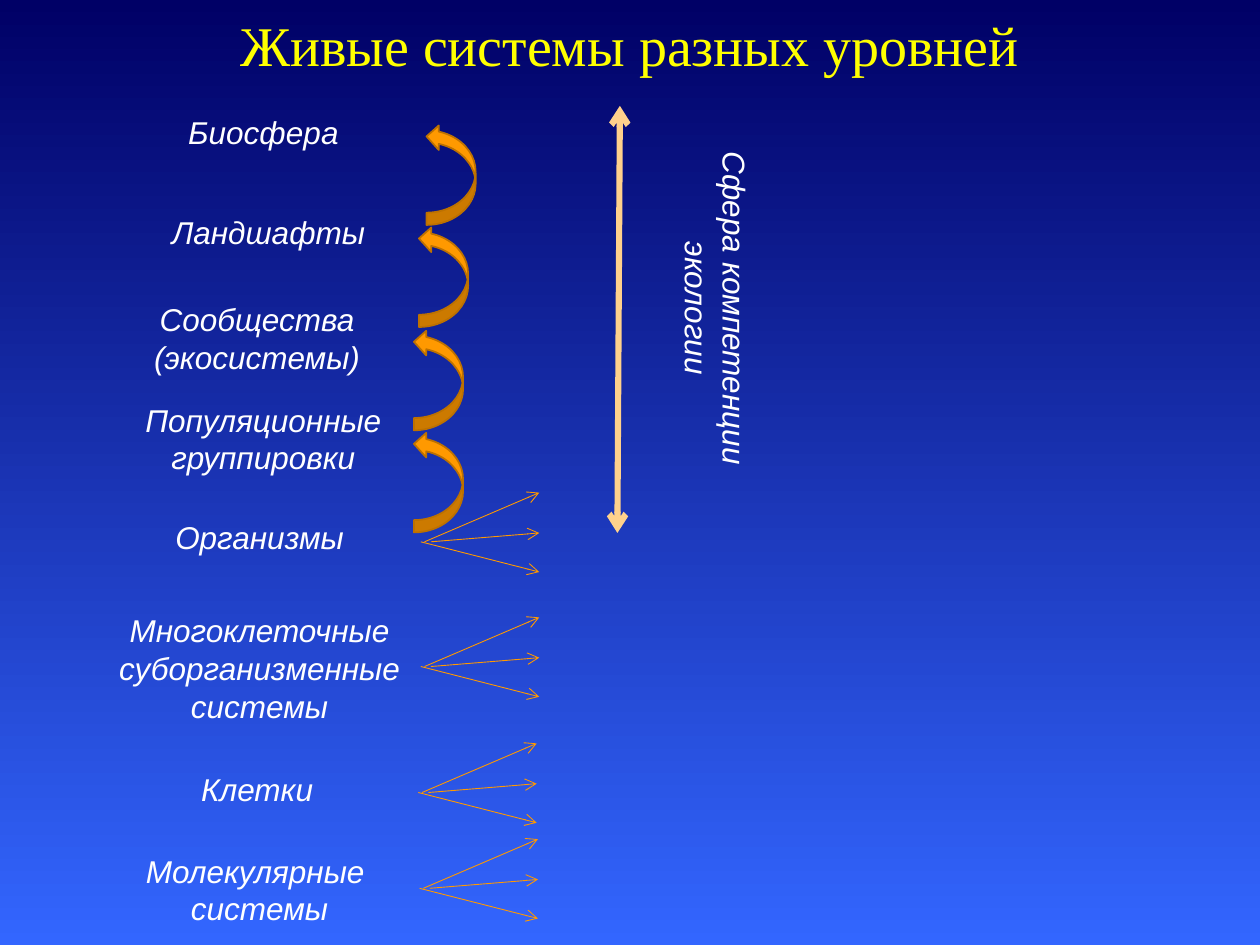
from dataclasses import dataclass

from pptx import Presentation
from pptx.dml.color import RGBColor
from pptx.enum import shapes as kinds, text as txt
from pptx.oxml.ns import qn
from pptx.util import Inches, Pt
from lxml import etree


@dataclass(frozen=True)
class Theme:
    background_top: str = "000066"
    background_bottom: str = "3366FF"
    title: str = "FFFF00"
    label: str = "FFFFFF"
    accent: str = "FF9900"
    accent_edge: str = "BD7100"
    scope: str = "FFD18C"
    title_font: str = "Times New Roman"
    label_font: str = "Arial"
    title_size: int = 32
    label_size: int = 18


@dataclass(frozen=True)
class Label:
    wording: str
    left: float
    top: float
    height: float
    rotation: int = 0


@dataclass(frozen=True)
class Point:
    x: float
    y: float


THEME = Theme()
LABEL_WIDTH = 3.18
ONE_LINE, TWO_LINES, THREE_LINES = 0.4, 0.71, 1.01

LEVELS = [
    Label("Биосфера", 0.5, 0.85, ONE_LINE),
    Label("Ландшафты", 0.54, 1.64, ONE_LINE),
    Label("Сообщества (экосистемы)", 0.45, 2.33, TWO_LINES),
    Label("Популяционные группировки", 0.5, 3.13, TWO_LINES),
    Label("Организмы", 0.47, 4.06, ONE_LINE),
    Label("Многоклеточные суборганизменные системы", 0.47, 4.8, THREE_LINES),
    Label("Клетки", 0.45, 6.06, ONE_LINE),
    Label("Молекулярные \nсистемы", 0.47, 6.71, TWO_LINES),
]
ECOLOGY_SCOPE = Label("Сфера компетенции экологии", 4.09, 2.09, TWO_LINES, 90)

# Top left corners of the arrows that lead one level up, before rotation
ASCENTS = [Point(3.08, 3.63), Point(3.08, 2.82), Point(3.12, 2.0), Point(3.18, 1.19)]

FAN_ORIGINS = [Point(3.34, 4.3), Point(3.34, 5.29), Point(3.32, 6.29), Point(3.33, 7.05)]
# Start and end of each ray, relative to the fan's origin
FAN_RAYS = [
    (Point(0.03, 0), Point(0.94, -0.39)),
    (Point(0, 0), Point(0.94, 0.24)),
    (Point(0.08, 0), Point(0.94, -0.07)),
]


def color(value: str) -> RGBColor:
    return RGBColor.from_string(value)


def paint_background(slide) -> None:
    fill = slide.background.fill
    fill.gradient()
    fill.gradient_angle = 270
    ends = ((0, THEME.background_top), (1, THEME.background_bottom))
    for stop, (position, shade) in zip(fill.gradient_stops, ends):
        stop.position = position
        stop.color.rgb = color(shade)


def add_title(slide, wording: str) -> None:
    title = slide.shapes.title
    title.left, title.top = Inches(0.75), Inches(0.1)
    title.width, title.height = Inches(8.5), Inches(0.5)
    frame = title.text_frame
    frame.text = wording
    frame.auto_size = txt.MSO_AUTO_SIZE.NONE
    frame.vertical_anchor = txt.MSO_ANCHOR.MIDDLE
    heading = frame.paragraphs[0]
    heading.alignment = txt.PP_ALIGN.CENTER
    heading.font.name = THEME.title_font
    heading.font.size = Pt(THEME.title_size)
    heading.font.color.rgb = color(THEME.title)


def add_label(slide, label: Label) -> None:
    box = slide.shapes.add_textbox(
        Inches(label.left), Inches(label.top), Inches(LABEL_WIDTH), Inches(label.height)
    )
    box.rotation = label.rotation
    frame = box.text_frame
    frame.word_wrap = True
    frame.auto_size = txt.MSO_AUTO_SIZE.SHAPE_TO_FIT_TEXT
    frame.text = label.wording
    for paragraph in frame.paragraphs:
        paragraph.alignment = txt.PP_ALIGN.CENTER
        paragraph.font.name = THEME.label_font
        paragraph.font.size = Pt(THEME.label_size)
        paragraph.font.italic = True
        paragraph.font.color.rgb = color(THEME.label)


def add_arrow(shapes, start: Point, end: Point, shade: str, width: float,
              both_ends: bool = False) -> None:
    arrow = shapes.add_connector(
        kinds.MSO_CONNECTOR.STRAIGHT,
        Inches(start.x), Inches(start.y), Inches(end.x), Inches(end.y),
    )
    arrow.line.color.rgb = color(shade)
    arrow.line.width = Pt(width)
    outline = arrow.line._get_or_add_ln()
    for tip in ("a:headEnd", "a:tailEnd") if both_ends else ("a:tailEnd",):
        etree.SubElement(outline, qn(tip), type="arrow")
    etree.SubElement(arrow._element.spPr, qn("a:effectLst"))


def add_fan(slide, origin: Point) -> None:
    fan = slide.shapes.add_group_shape()
    for start, end in FAN_RAYS:
        add_arrow(
            fan.shapes,
            Point(origin.x + start.x, origin.y + start.y),
            Point(origin.x + end.x, origin.y + end.y),
            THEME.accent, 0.5,
        )


def add_ascent(slide, corner: Point) -> None:
    ascent = slide.shapes.add_shape(
        kinds.MSO_SHAPE.CURVED_UP_ARROW,
        Inches(corner.x), Inches(corner.y), Inches(0.8), Inches(0.39),
    )
    ascent.rotation = 270
    ascent.shadow.inherit = False
    ascent.fill.solid()
    ascent.fill.fore_color.rgb = color(THEME.accent)
    ascent.line.color.rgb = color(THEME.accent_edge)
    ascent.line.width = Pt(1)


def main() -> None:
    deck = Presentation()
    deck.slide_width, deck.slide_height = Inches(10), Inches(7.5)
    slide = deck.slides.add_slide(deck.slide_layouts.get_by_name("Title Only"))
    paint_background(slide)
    add_title(slide, "Живые системы разных уровней")
    for label in [*LEVELS, ECOLOGY_SCOPE]:
        add_label(slide, label)
    add_arrow(slide.shapes, Point(4.92, 0.84), Point(4.9, 4.23), THEME.scope, 3.5,
              both_ends=True)
    for origin in FAN_ORIGINS:
        add_fan(slide, origin)
    for corner in ASCENTS:
        add_ascent(slide, corner)
    deck.save("out.pptx")


if __name__ == "__main__":
    main()
